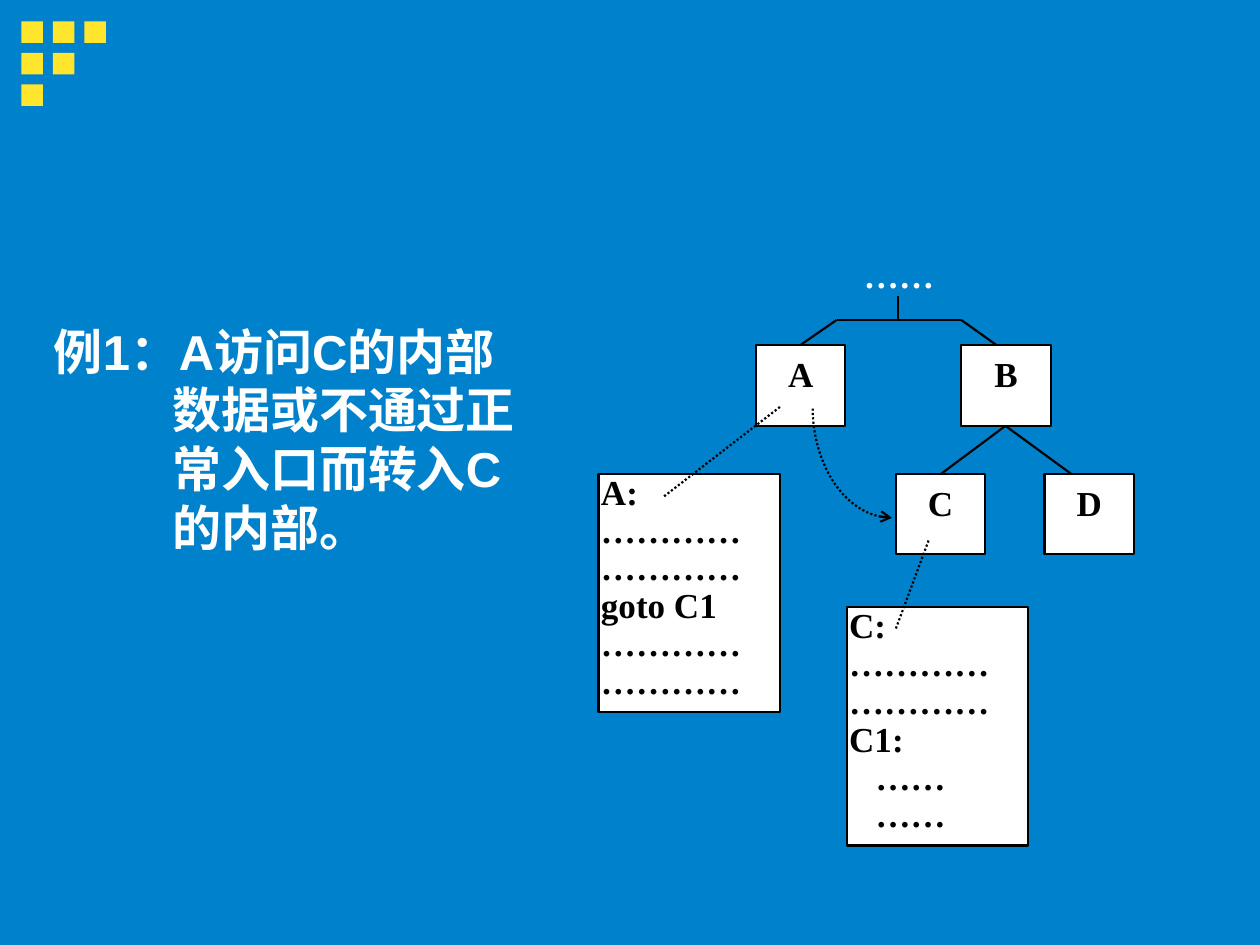
from dataclasses import dataclass
from math import cos, pi, sin

from lxml import etree
from pptx import Presentation
from pptx.dml.color import RGBColor
from pptx.enum.dml import MSO_LINE
from pptx.enum.shapes import MSO_CONNECTOR, MSO_SHAPE
from pptx.enum.text import MSO_ANCHOR, PP_ALIGN
from pptx.oxml.ns import qn
from pptx.util import Inches, Pt

RECT = MSO_SHAPE.RECTANGLE
STRAIGHT = MSO_CONNECTOR.STRAIGHT
DOTS = MSO_LINE.ROUND_DOT
TOP = MSO_ANCHOR.TOP
LEFT, CENTER, JUSTIFY = PP_ALIGN.LEFT, PP_ALIGN.CENTER, PP_ALIGN.JUSTIFY


@dataclass(frozen=True)
class Theme:
    back: RGBColor = RGBColor(0x00, 0x81, 0xCB)
    mark: RGBColor = RGBColor(0xFF, 0xE6, 0x2D)
    white: RGBColor = RGBColor(0xFF, 0xFF, 0xFF)
    black: RGBColor = RGBColor(0x00, 0x00, 0x00)
    shade: str = "808080"
    sans: str = "Arial"
    serif: str = "Times New Roman"
    big: Pt = Pt(28)
    small: Pt = Pt(20)
    line: Pt = Pt(1.25)


THEME = Theme()


def write(shape, text, insets, align, color, font=THEME.serif, size=THEME.small):
    frame = shape.text_frame
    frame.word_wrap = True
    frame.vertical_anchor = TOP
    (frame.margin_left, frame.margin_top,
     frame.margin_right, frame.margin_bottom) = map(Inches, insets)
    frame.text = text
    for para in frame.paragraphs:
        para.alignment = align
        for run in para.runs:
            run.font.name, run.font.size, run.font.bold = font, size, True
            run.font.color.rgb = color
    return frame


def add_label(slide, box, *args, **style):
    shape = slide.shapes.add_textbox(*map(Inches, box))
    return write(shape, *args, **style)


def add_rect(slide, box, fill, edge=None):
    shape = slide.shapes.add_shape(RECT, *map(Inches, box))
    shape.shadow.inherit = False
    shape.fill.solid()
    shape.fill.fore_color.rgb = fill
    if edge is None:
        shape.line.fill.background()
    else:
        ink(shape, edge)
    return shape


def ink(shape, color, dash=None):
    shape.line.color.rgb = color
    shape.line.width = THEME.line
    if dash:
        shape.line.dash_style = dash


def add_line(slide, start, end, dash=None):
    line = slide.shapes.add_connector(STRAIGHT, *map(Inches, (*start, *end)))
    ink(line, THEME.black, dash)
    etree.SubElement(line._element.spPr, qn("a:effectLst"))


def add_arc(slide, box, steps=24):
    """Dotted quarter ellipse from bottom right to top left, arrow at its start."""
    x, y, w, h = box
    turns = [pi / 2 * i / steps for i in range(steps + 1)]
    points = [(Inches(x + w * (1 - sin(t))), Inches(y + h * cos(t))) for t in turns]
    path = slide.shapes.build_freeform(*points[0])
    path.add_line_segments(points[1:], close=False)
    arc = path.convert_to_shape()
    arc.shadow.inherit = False
    arc.fill.background()
    ink(arc, THEME.black, DOTS)
    etree.SubElement(arc.line._get_or_add_ln(), qn("a:headEnd"), type="arrow")


def add_marks(slide, box):
    """Stair of squares: each row has one fewer than the row above."""
    x, y, side, step = box
    for row in range(3):
        for col in range(3 - row):
            add_rect(slide, (x + col * step, y + row * step, side, side), THEME.mark)


def add_body(slide, box):
    frame = add_label(slide, box, "例1：A访问C的内部数据或不通过正常入口而转入C的内部。",
                      (0.1, 0.05, 0.1, 0.05), LEFT, THEME.white,
                      font=THEME.sans, size=THEME.big)
    para = frame.paragraphs[0]
    props = para._p.get_or_add_pPr()
    props.set("marL", str(Inches(0.94)))
    props.set("indent", str(-Inches(0.94)))
    effect = etree.Element(qn("a:effectLst"))
    shadow = etree.SubElement(effect, qn("a:outerShdw"), dist=str(Pt(2)), dir="2700000")
    etree.SubElement(shadow, qn("a:srgbClr"), val=THEME.shade)
    para.runs[0].font._element.find(qn("a:solidFill")).addnext(effect)


def add_node(slide, box, name):
    node = add_rect(slide, box, THEME.white, THEME.black)
    write(node, name, (0.02, 0.06, 0.02, 0.02), CENTER, THEME.black)


def add_code(slide, box, lines, inner=()):
    """List of code lines; those numbered in inner are indented."""
    card = add_rect(slide, box, THEME.white, THEME.black)
    frame = write(card, "\n".join(lines), (0.02, 0.01, 0.02, 0.01),
                  JUSTIFY, THEME.black)
    for i, para in enumerate(frame.paragraphs):
        para.line_spacing = 0.9
        if i in inner:
            para._p.get_or_add_pPr().set("marL", str(Inches(0.21)))


def add_tree(slide, box):
    x, y, w, h = box
    node_w, node_h = 0.71, 0.64
    top, low = y + 0.74, y + 1.76
    mid, bar, foot = x + 2.38, y + 0.54, top + node_h
    ends = x + 1.89, x + 2.88
    fork = x + 3.23

    add_label(slide, (ends[0], y, 0.99, 0.38), "……",
              (0.06, 0.01, 0.06, 0.01), CENTER, THEME.white)
    add_line(slide, (mid, y + 0.35), (mid, bar))
    add_line(slide, (ends[0], bar), (ends[1], bar))
    for end, tip in zip(ends, (x + 1.6, x + 3.16)):
        add_line(slide, (end, bar), (tip, top))

    nodes = {"A": (1.25, top), "B": (2.88, top), "C": (2.36, low), "D": (3.54, low)}
    for name, (dx, ny) in nodes.items():
        add_node(slide, (x + dx, ny, node_w, node_h), name)
    for tip in (x + 2.72, x + 3.75):
        add_line(slide, (fork, foot), (tip, low))

    add_arc(slide, (x + 1.7, y + 1.23, 0.63, 0.88))
    dots = "…………"
    card_w, card_h = 1.44, 1.89
    add_code(slide, (x, low, card_w, card_h),
             ["A:", dots, dots, "goto C1", dots, dots])
    add_line(slide, (x + 1.44, y + 1.23), (x + 0.52, y + 1.94), DOTS)
    add_code(slide, (x + w - 2.28, y + h - card_h, card_w, card_h),
             ["C:", dots, dots, "C1:", "……", "……"], inner=(4, 5))
    add_line(slide, (x + 2.62, y + 2.29), (x + 2.36, y + 2.99), DOTS)


def main():
    deck = Presentation()
    deck.slide_width, deck.slide_height = Inches(10), Inches(7.5)
    slide = deck.slides.add_slide(deck.slide_layouts[6])
    slide.background.fill.solid()
    slide.background.fill.fore_color.rgb = THEME.back
    add_marks(slide, (0.17, 0.17, 0.17, 0.25))
    add_body(slide, (0.33, 2.5, 4, 2.06))
    add_tree(slide, (4.75, 2, 4.25, 4.71))
    deck.save("out.pptx")


if __name__ == "__main__":
    main()
